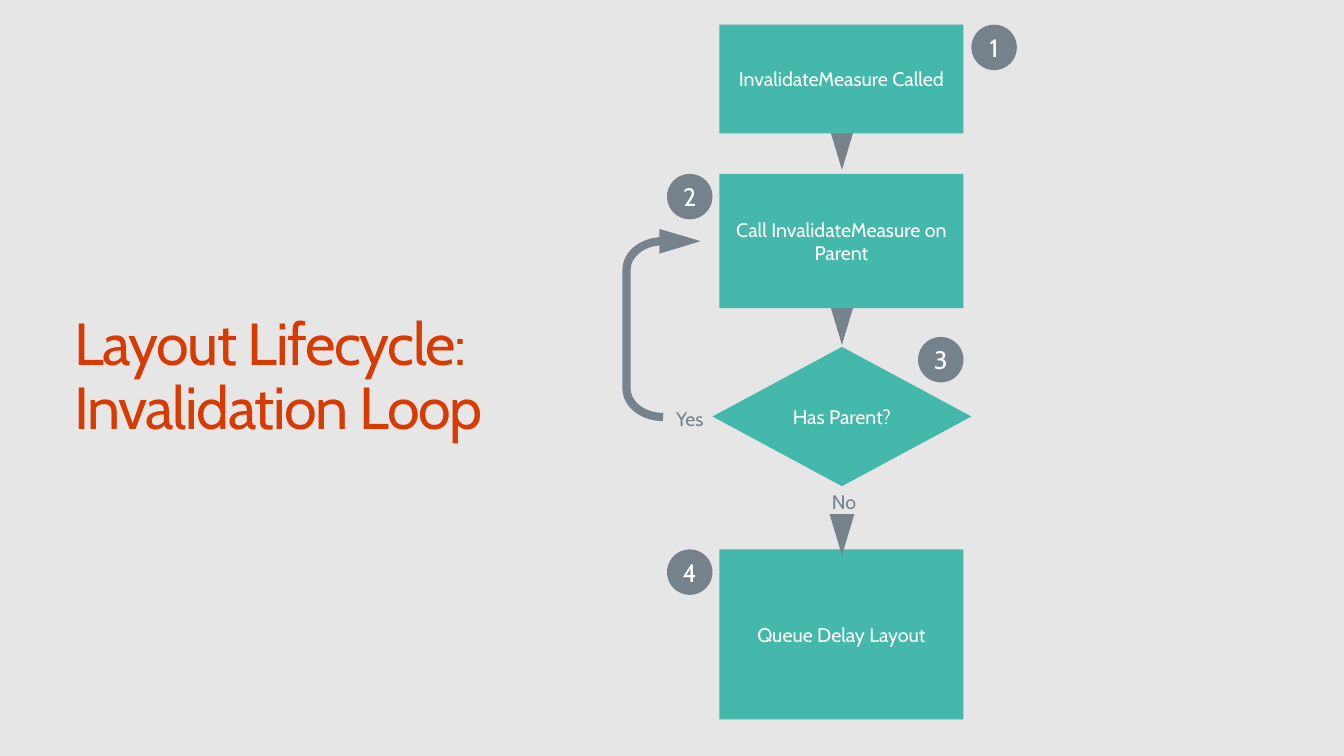
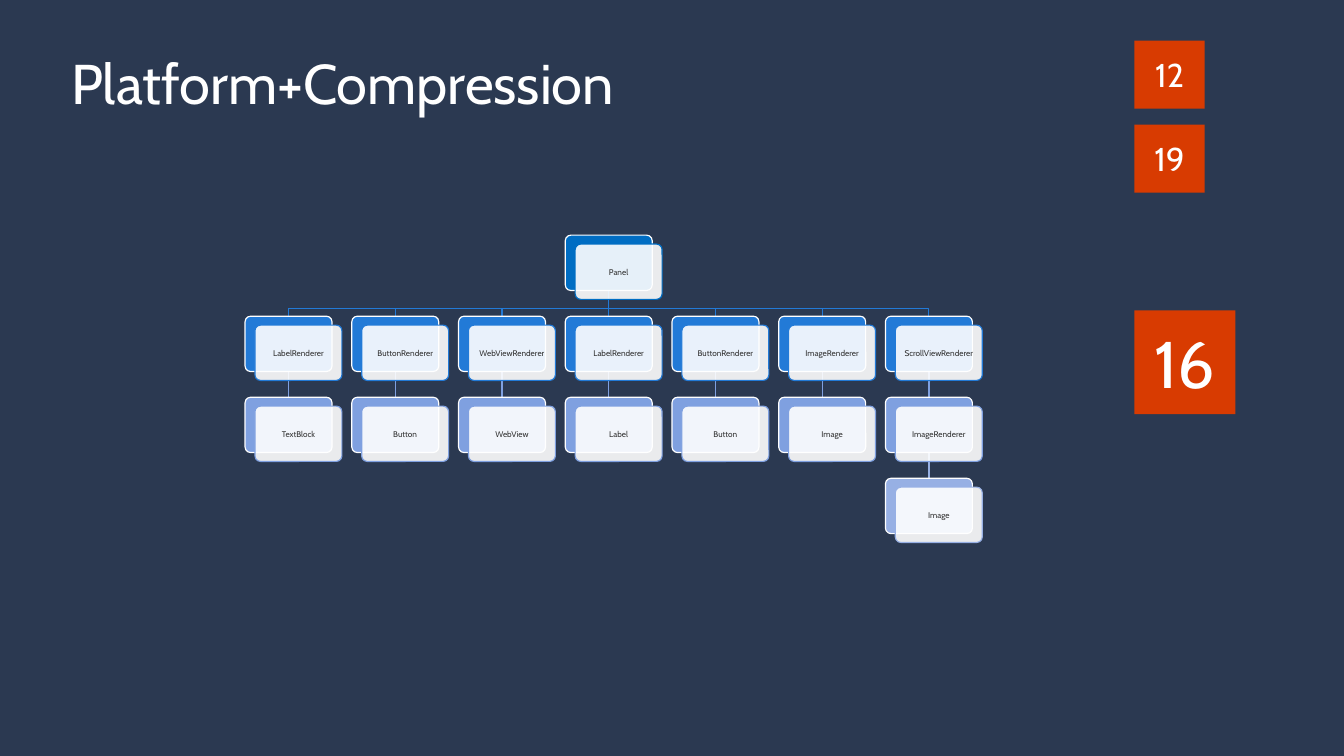
import math
from lxml import etree
from pptx import Presentation
from pptx import util as u
from pptx.dml.color import RGBColor
from pptx.enum import shapes, text
from pptx.oxml.ns import qn

ORANGE, TEAL, GRAY, BADGE = "D83B01", "44B8AA", "76828C", "76828B"
WHITE, INK, PALE, NAVY = "FFFFFF", "353535", "E6E6E6", "2B3951"
LEVEL_COLORS = ["006DC3", "227AD7", "7FA0E0", "97B0E4"]
BRANCHES = [
    ["LabelRenderer", "TextBlock"],
    ["ButtonRenderer", "Button"],
    ["WebViewRenderer", "WebView"],
    ["LabelRenderer", "Label"],
    ["ButtonRenderer", "Button"],
    ["ImageRenderer", "Image"],
    ["ScrollViewRenderer", "ImageRenderer", "Image"],
]
ROOT_COLUMN = 3
CARD_WIDTH, CARD_HEIGHT = 0.88, 0.56
KINDS = shapes.MSO_SHAPE


def rgb(value):
    return RGBColor.from_string(value)


def inches(*values):
    return [u.Inches(value) for value in values]


def write_text(box, words, size, color, align="CENTER", line_spacing=1.0, tracking=None):
    frame = box.text_frame
    frame_format = {
        "word_wrap": True, "auto_size": text.MSO_AUTO_SIZE.NONE,
        "vertical_anchor": text.MSO_ANCHOR.MIDDLE,
        "margin_left": 0, "margin_right": 0, "margin_top": 0, "margin_bottom": 0,
    }
    for name, value in frame_format.items():
        setattr(frame, name, value)
    para = frame.paragraphs[0]
    para.text = words
    para.alignment = text.PP_ALIGN[align]
    para.line_spacing = line_spacing
    for span in para.runs:
        for name, value in {"name": "Cabin", "size": u.Pt(size), "bold": False}.items():
            setattr(span.font, name, value)
        span.font.color.rgb = rgb(color)
        if tracking is not None:
            span.font._element.set("spc", str(tracking * 100))


def add_page(deck, background, title, at, size, color, tracking=None):
    page = deck.slides.add_slide(deck.slide_layouts[5])
    page.background.fill.solid()
    page.background.fill.fore_color.rgb = rgb(background)
    holder = page.shapes.title
    for name, value in zip(("left", "top", "width", "height"), inches(*at)):
        setattr(holder, name, value)
    write_text(holder, title, size, color, "LEFT", 0.9, tracking)
    return page


def add_block(page, kind, at, fill, words="", size=14.3, color=WHITE, line=None, alpha=None):
    block = page.shapes.add_shape(kind, *inches(*at))
    block.shadow.inherit = False
    block.fill.solid()
    block.fill.fore_color.rgb = rgb(fill)
    if alpha is not None:
        fill_color = block._element.spPr.find(qn("a:solidFill")).find(qn("a:srgbClr"))
        etree.SubElement(fill_color, qn("a:alpha")).set("val", str(alpha * 1000))
    if line:
        block.line.color.rgb = rgb(line)
        block.line.width = u.Pt(0.85)
    else:
        block.line.fill.background()
    if kind == KINDS.ROUNDED_RECTANGLE:
        block.adjustments[0] = 0.1
    if words:
        write_text(block, words, size, color)
    return block


def add_label(page, at, words):
    write_text(page.shapes.add_textbox(*inches(*at)), words, 14.3, GRAY)


def add_stroke(page, points, color, width, arrow=False):
    points = [tuple(inches(*point)) for point in points]
    if len(points) == 2:
        stroke = page.shapes.add_connector(shapes.MSO_CONNECTOR.STRAIGHT, *points[0], *points[1])
        etree.SubElement(stroke._element.spPr, qn("a:effectLst"))
    else:
        builder = page.shapes.build_freeform(*points[0])
        builder.add_line_segments(points[1:], close=False)
        stroke = builder.convert_to_shape()
        stroke.shadow.inherit = False
        stroke.fill.background()
    stroke.line.color.rgb = rgb(color)
    stroke.line.width = u.Pt(width)
    if arrow:
        outline = stroke._element.spPr.find(qn("a:ln"))
        head = etree.SubElement(outline, qn("a:tailEnd"))
        for name, value in {"type": "triangle", "w": "med", "len": "lg"}.items():
            head.set(name, value)


def loop_points():
    points = []
    for center, start in ((3.93, 90), (2.73, 180)):
        for angle in range(start, start + 91, 6):
            turn = math.radians(angle)
            points.append((6.71 + 0.37 * math.cos(turn), center + 0.29 * math.sin(turn)))
    return points + [(7.09, 2.44)]


def add_invalidation_loop(deck):
    page = add_page(deck, PALE, "Layout Lifecycle:\vInvalidation Loop",
                    (0.75, 3.19, 5.34, 1.27), 43.2, ORANGE, -1)
    for top, bottom in ((1.24, 1.72), (3.07, 3.49)):
        add_stroke(page, [(8.52, top), (8.52, bottom)], GRAY, 6, True)
    add_block(page, KINDS.DIAMOND, (7.21, 3.51, 2.62, 1.41), TEAL, "Has Parent?")
    steps = [(0.25, 1.1, "InvalidateMeasure Called"),
             (1.76, 1.36, "Call InvalidateMeasure on Parent"),
             (5.56, 1.72, "Queue Delay Layout")]
    for top, height, words in steps:
        add_block(page, KINDS.RECTANGLE, (7.28, top, 2.47, height), TEAL, words)
    add_stroke(page, loop_points(), GRAY, 6, True)
    add_label(page, (6.72, 4.07, 0.52, 0.34), "Yes")
    add_label(page, (8.28, 4.91, 0.52, 0.34), "No")
    add_stroke(page, [(8.52, 5.24), (8.52, 5.62)], GRAY, 6, True)
    badges = [(9.83, 0.25), (6.75, 1.76), (9.29, 3.41), (6.75, 5.56)]
    for number, (left, top) in enumerate(badges, 1):
        add_block(page, KINDS.OVAL, (left, top, 0.46, 0.46), BADGE, str(number), 18.4)


def card_corner(column, level):
    return 5.72 + 1.08 * (column - ROOT_COLUMN), 2.38 + 0.82 * level


def add_card(page, column, level, words):
    left, top = card_corner(column, level)
    color = LEVEL_COLORS[level]
    size = (CARD_WIDTH, CARD_HEIGHT)
    add_block(page, KINDS.ROUNDED_RECTANGLE, (left, top, *size), color, line=WHITE)
    add_block(page, KINDS.ROUNDED_RECTANGLE, (left + 0.1, top + 0.09, *size), WHITE,
              words, 6, INK, color, 90)


def add_link(page, column, level):
    parent_column = ROOT_COLUMN if level == 1 else column
    parent_left, parent_top = card_corner(parent_column, level - 1)
    left, top = card_corner(column, level)
    start = (parent_left + CARD_WIDTH / 2, parent_top + CARD_HEIGHT)
    end = (left + CARD_WIDTH / 2, top)
    bend_top = top - 0.08
    bends = [] if parent_column == column else [(start[0], bend_top), (end[0], bend_top)]
    add_stroke(page, [start, *bends, end], LEVEL_COLORS[level], 0.85)


def add_compression_tree(deck):
    page = add_page(deck, NAVY, "Platform+Compression", (0.72, 0.24, 12.55, 1.27), 40.8, WHITE)
    cards = [(column, level, words) for column, branch in enumerate(BRANCHES)
             for level, words in enumerate(branch, 1)]
    for column, level, words in cards:
        add_link(page, column, level)
    for card in [(ROOT_COLUMN, 0, "Panel"), *cards]:
        add_card(page, *card)
    counts = [("16", 3.14, 1.02, 1.05, 48), ("12", 0.41, 0.71, 0.69, 24),
              ("19", 1.26, 0.71, 0.69, 24)]
    for words, top, width, height, size in counts:
        add_block(page, KINDS.RECTANGLE, (11.48, top, width, height), ORANGE, words, size)


def main():
    deck = Presentation()
    deck.slide_width, deck.slide_height = inches(13.6, 7.65)
    add_invalidation_loop(deck)
    add_compression_tree(deck)
    deck.save("out.pptx")


if __name__ == "__main__":
    main()
